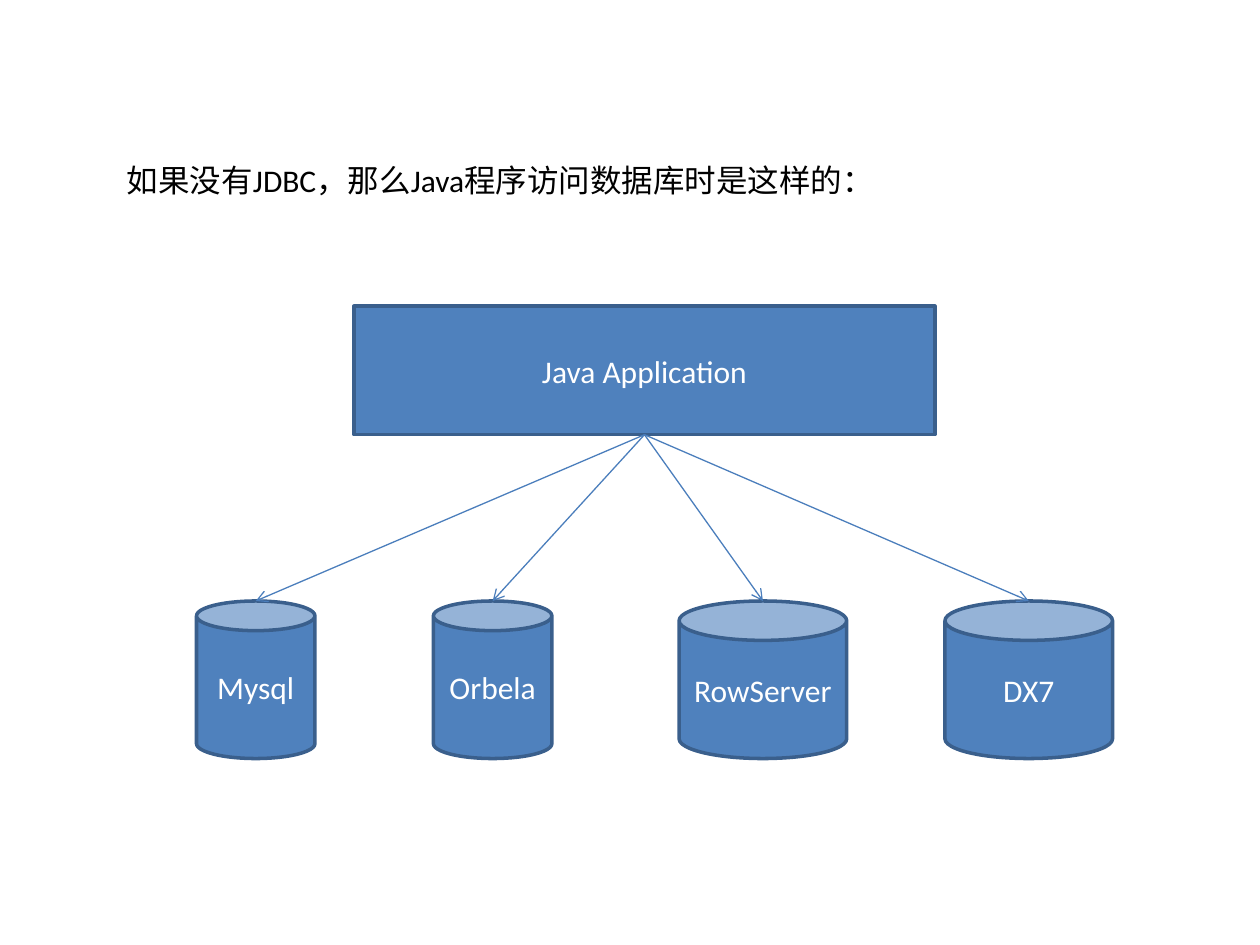
from pptx import Presentation
from pptx.dml.color import RGBColor
from pptx.enum.shapes import MSO_CONNECTOR as Connector, MSO_SHAPE as Shape
from pptx.enum.text import MSO_ANCHOR as Anchor, MSO_AUTO_SIZE as AutoSize, PP_ALIGN as Align
from pptx.oxml.ns import qn
from pptx.util import Inches, Pt
from lxml.etree import SubElement

INTRO = "如果没有JDBC，那么Java程序访问数据库时是这样的："
INTRO_AREA = (0.91, 1.23, 6.93, 0.4)
APPLICATION = "Java Application"
APPLICATION_AREA = (2.81, 2.43, 4.61, 1.02)
DATABASES = [("Mysql", 1.56, 0.94), ("Orbela", 3.44, 0.94),
             ("RowServer", 5.39, 1.33), ("DX7", 7.5, 1.33)]
DATABASE_TOP, DATABASE_HEIGHT = 4.77, 1.25
FILL, OUTLINE, ARROW = "4F81BD", "3A5F8C", "4B7EBC"
WHITE, BLACK = "FFFFFF", "000000"


def color(value):
    return RGBColor.from_string(value)


def write(frame, text, font_color, align):
    frame.word_wrap = True
    para = frame.paragraphs[0]
    para.text = text
    para.alignment = align
    para.font.name = "Calibri"
    para.font.size = Pt(18)
    para.font.color.rgb = color(font_color)


def add_node(page, kind, area, text):
    node = page.shapes.add_shape(kind, *map(Inches, area))
    node.shadow.inherit = False
    node.fill.solid()
    node.fill.fore_color.rgb = color(FILL)
    node.line.color.rgb = color(OUTLINE)
    node.line.width = Pt(2)
    node.text_frame.vertical_anchor = Anchor.MIDDLE
    write(node.text_frame, text, WHITE, Align.CENTER)
    return node


def add_arrow(page, source, target):
    arrow = page.shapes.add_connector(
        Connector.STRAIGHT,
        source.left + source.width // 2, source.top + source.height,
        target.left + target.width // 2, target.top)
    arrow.line.color.rgb = color(ARROW)
    arrow.line.width = Pt(0.75)
    SubElement(arrow.line._get_or_add_ln(), qn("a:tailEnd"), type="arrow")
    SubElement(arrow._element.spPr, qn("a:effectLst"))


def main():
    deck = Presentation()
    deck.slide_width, deck.slide_height = Inches(10), Inches(7.5)
    page = deck.slides.add_slide(deck.slide_layouts[6])

    application = add_node(page, Shape.RECTANGLE, APPLICATION_AREA, APPLICATION)
    databases = [
        add_node(page, Shape.CAN, (left, DATABASE_TOP, width, DATABASE_HEIGHT), name)
        for name, left, width in DATABASES
    ]
    for database in databases:
        add_arrow(page, application, database)

    intro = page.shapes.add_textbox(*map(Inches, INTRO_AREA))
    intro.text_frame.auto_size = AutoSize.SHAPE_TO_FIT_TEXT
    write(intro.text_frame, INTRO, BLACK, Align.LEFT)

    deck.save("out.pptx")


if __name__ == "__main__":
    main()
